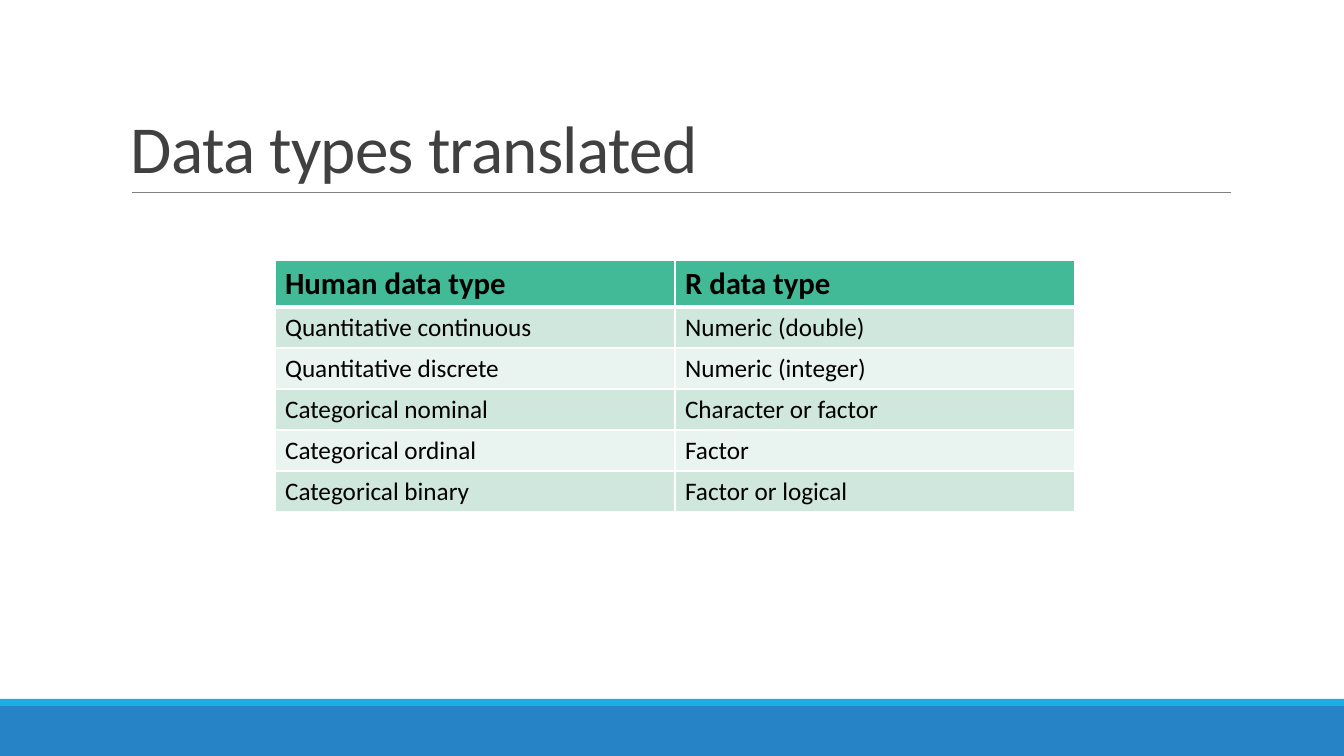
from dataclasses import dataclass

from lxml.etree import SubElement
from pptx import Presentation
from pptx.dml.color import RGBColor as RGB
from pptx.enum.shapes import MSO_CONNECTOR as CONNECTOR, MSO_SHAPE as SHAPE
from pptx.enum.text import MSO_ANCHOR as ANCHOR
from pptx.oxml.ns import qn
from pptx.util import Emu, Pt

TITLE = "Data types translated"
DATA_TYPES = [
    ("Human data type", "R data type"),
    ("Quantitative continuous", "Numeric (double)"),
    ("Quantitative discrete", "Numeric (integer)"),
    ("Categorical nominal", "Character or factor"),
    ("Categorical ordinal", "Factor"),
    ("Categorical binary", "Factor or logical"),
]


@dataclass(frozen=True)
class Theme:
    font: str = "Calibri"
    title: str = "404040"
    text: str = "000000"
    rule: str = "808080"
    border: str = "FFFFFF"
    header: str = "42BA97"
    stripes: tuple = ("CFE7DD", "E9F3EF")
    band: str = "2683C6"
    accent: str = "1CADE4"
    title_size: int = 48
    header_size: int = 22
    body_size: int = 18


THEME = Theme()
SLIDE_W, SLIDE_H = 1344, 756
BAND_H, ACCENT_H = 50, 7
TITLE_BOX = (121, 31, 1109, 161)
RULE_Y, RULE_LEFT, RULE_RIGHT = 192, 132, 1231
TABLE_LEFT, TABLE_TOP = 275, 260
COLUMN_W, HEADER_H, ROW_H = 400, 46, 41


def px(length):
    """Turn px (100.8 to the inch) into EMU."""
    return Emu(round(length * 914400 / 100.8))


def box(*lengths):
    return [px(length) for length in lengths]


def write(paragraph, text, size, color, bold=False):
    run = paragraph.add_run()
    run.text = text
    font = run.font
    font.name, font.size, font.bold = THEME.font, Pt(size), bold
    font.color.rgb = RGB.from_string(color)
    return run


def add_band(slide, top, height, color):
    band = slide.shapes.add_shape(SHAPE.RECTANGLE, *box(0, top, SLIDE_W, height))
    band.shadow.inherit = False
    band.fill.solid()
    band.fill.fore_color.rgb = RGB.from_string(color)
    band.line.fill.background()


def add_title(slide):
    frame = slide.shapes.add_textbox(*box(*TITLE_BOX)).text_frame
    frame.word_wrap = True
    frame.vertical_anchor = ANCHOR.BOTTOM
    paragraph = frame.paragraphs[0]
    paragraph.line_spacing = 0.85
    run = write(paragraph, TITLE, THEME.title_size, THEME.title)
    run.font._element.set("spc", "-50")

    rule = slide.shapes.add_connector(
        CONNECTOR.STRAIGHT, *box(RULE_LEFT, RULE_Y, RULE_RIGHT, RULE_Y))
    rule.line.color.rgb = RGB.from_string(THEME.rule)
    rule.line.width = Pt(0.5)
    SubElement(rule._element.spPr, qn("a:effectLst"))


def set_borders(cell, **widths):
    """Draw cell borders; widths are points keyed by side, in L, R, T, B order."""
    properties = cell._tc.get_or_add_tcPr()
    for side, width in widths.items():
        line = SubElement(properties, qn(f"a:ln{side}"), w=str(Pt(width)))
        fill = SubElement(line, qn("a:solidFill"))
        SubElement(fill, qn("a:srgbClr"), val=THEME.border)


def add_data_types(slide):
    row_heights = [HEADER_H] + [ROW_H] * (len(DATA_TYPES) - 1)
    column_count = len(DATA_TYPES[0])
    table = slide.shapes.add_table(
        len(DATA_TYPES), column_count,
        *box(TABLE_LEFT, TABLE_TOP, COLUMN_W * column_count, sum(row_heights))).table
    for column in table.columns:
        column.width = px(COLUMN_W)
    for r, (labels, height) in enumerate(zip(DATA_TYPES, row_heights)):
        table.rows[r].height = px(height)
        is_header = r == 0
        fill = THEME.header if is_header else THEME.stripes[(r - 1) % 2]
        size = THEME.header_size if is_header else THEME.body_size
        for c, label in enumerate(labels):
            cell = table.cell(r, c)
            set_borders(cell, L=1, R=1, T=3 if r == 1 else 1, B=3 if is_header else 1)
            cell.fill.solid()
            cell.fill.fore_color.rgb = RGB.from_string(fill)
            write(cell.text_frame.paragraphs[0], label, size, THEME.text, is_header)


def main():
    deck = Presentation()
    deck.slide_width, deck.slide_height = box(SLIDE_W, SLIDE_H)
    slide = deck.slides.add_slide(deck.slide_layouts[6])
    band_top = SLIDE_H - BAND_H
    add_band(slide, band_top, BAND_H, THEME.band)
    add_band(slide, band_top - ACCENT_H, ACCENT_H, THEME.accent)
    add_title(slide)
    add_data_types(slide)
    deck.save("out.pptx")


if __name__ == "__main__":
    main()
